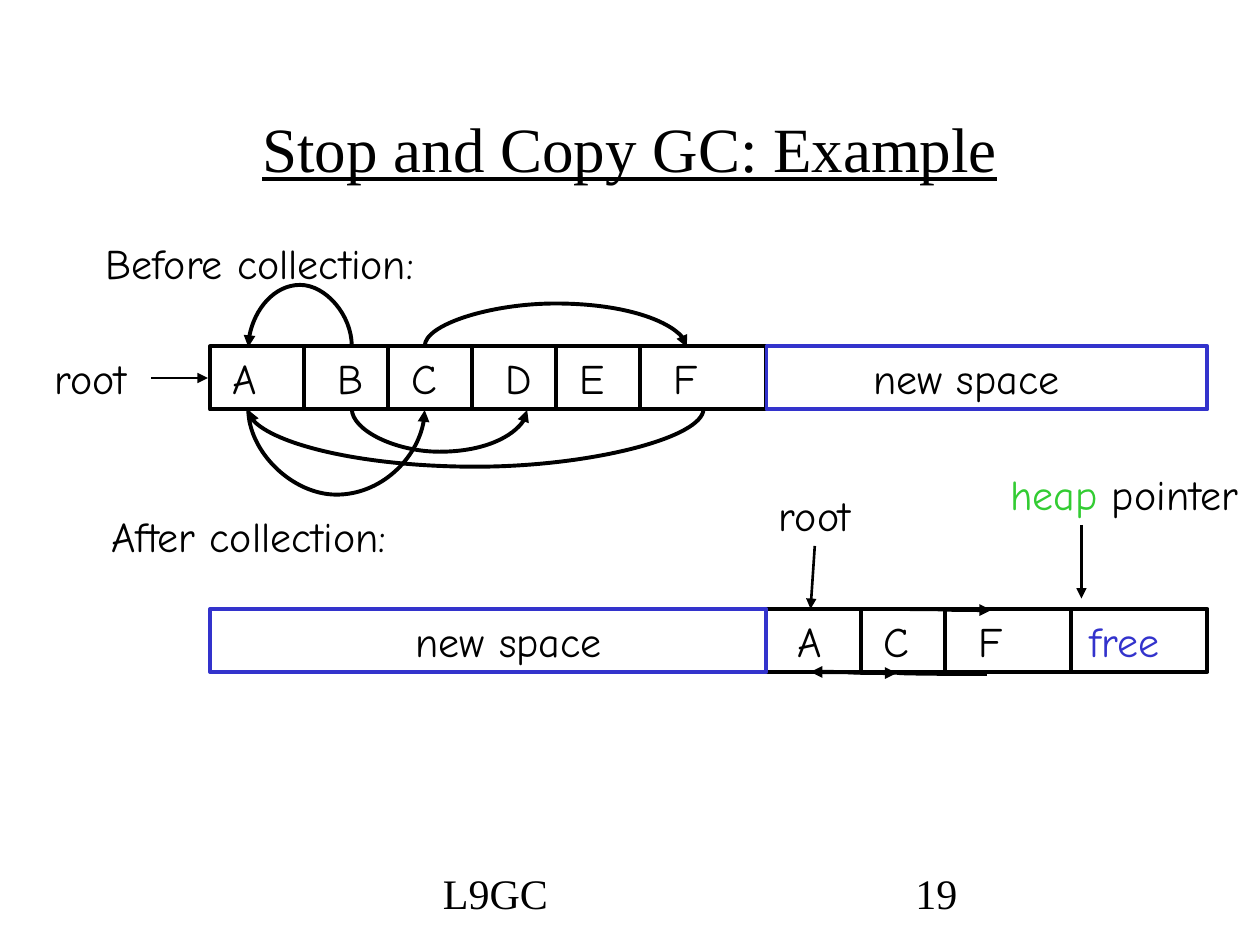
from itertools import accumulate

from pptx import Presentation, util as u
from pptx.dml.color import RGBColor
from pptx.enum import shapes, text
from pptx.oxml import parse_xml
from pptx.oxml.ns import nsdecls, qn

BLACK = RGBColor(0x00, 0x00, 0x00)
BLUE = RGBColor(0x33, 0x33, 0xCC)
GREEN = RGBColor(0x33, 0xCC, 0x33)
HAND, SERIF = "Comic Neue", "Times New Roman"
COLUMNS, ROWS = 120, 90  # the slide's grid
HEAVY, FINE = 2.25, 1.5
CELL_HEIGHT = 6


class Slide:
    def __init__(self, deck):
        self.page = deck.slides.add_slide(deck.slide_layouts[6])
        self.column = deck.slide_width / COLUMNS
        self.row = deck.slide_height / ROWS

    def place(self, x, y):
        return round(x * self.column), round(y * self.row)

    def cell(self, x, y, width, color=BLACK):
        box = self.page.shapes.add_shape(
            shapes.MSO_SHAPE.RECTANGLE,
            *self.place(x, y), *self.place(width, CELL_HEIGHT))
        box.shadow.inherit = False
        box.fill.background()
        box.line.color.rgb = color
        box.line.width = u.Pt(HEAVY)

    def label(self, x, y, width, *spans, font=HAND, size=24, height=6,
              centred=False, underline=None):
        """Each span is a string, or a pair of string and colour."""
        box = self.page.shapes.add_textbox(
            *self.place(x, y), *self.place(width, height))
        frame = box.text_frame
        frame.word_wrap = True
        para = frame.paragraphs[0]
        para.font.name, para.font.size = font, u.Pt(size)
        para.font.underline = underline
        if centred:
            para.alignment = text.PP_ALIGN.CENTER
            frame.vertical_anchor = text.MSO_ANCHOR.MIDDLE
        for span in spans:
            words, color = (span, BLACK) if isinstance(span, str) else span
            run = para.add_run()
            run.text = words
            run.font.color.rgb = color

    def arrow(self, start, end, weight=FINE, kind=shapes.MSO_CONNECTOR.STRAIGHT):
        link = self.page.shapes.add_connector(
            kind, *self.place(*start), *self.place(*end))
        link.line.color.rgb = BLACK
        link.line.width = u.Pt(weight)
        link.line._get_or_add_ln().append(
            parse_xml(f'<a:tailEnd {nsdecls("a")} type="triangle"/>'))
        link._element.spPr.append(parse_xml(f'<a:effectLst {nsdecls("a")}/>'))
        return link

    def curve(self, start, end):
        return self.arrow(start, end, HEAVY, shapes.MSO_CONNECTOR.CURVE)

    def arc(self, x1, x2, y, depth):
        """U-shaped pointer from x1 to x2; a positive depth hangs down."""
        link = self.curve((x1, y), (x2, y))
        # An upright thin box, turned on its side
        thin, span = 0.12, abs(x2 - x1)
        link.left, link.top = self.place((x1 + x2 - thin) / 2, y - span / 2)
        link.width, link.height = self.place(thin, span)
        rightward = x2 > x1
        frame = link._element.spPr.find(qn("a:xfrm"))
        frame.set("rot", str((270 if rightward else 90) * 60000))
        frame.set("flipH", "1" if rightward else "0")
        guides = link._element.spPr.find(qn("a:prstGeom")).get_or_add_avLst()
        guides.append(parse_xml(
            f'<a:gd {nsdecls("a")} name="adj1" '
            f'fmla="val {round(depth / thin * 100000)}"/>'))


deck = Presentation()
deck.slide_width, deck.slide_height = u.Inches(10), u.Inches(7.5)
slide = Slide(deck)

# Title and footer
slide.label(9, 8, 102, "Stop and Copy GC: Example", font=SERIF, size=36,
            height=12, centred=True, underline=True)
slide.label(41, 82, 38, "L9GC", font=SERIF)
slide.label(86, 82, 25, "19", font=SERIF)

# Heap before collection
HEAP, MIDDLE, HALF = 20, 73, 42
BEFORE, AFTER = 33, 58
widths = [9, 8, 8, 8, 8, 12]
label_columns = [21, 31, 38, 47, 54, 63]
for x, width, name, name_x in zip(
        accumulate([HEAP] + widths), widths, "ABCDEF", label_columns):
    slide.cell(x, BEFORE, width)
    slide.label(name_x, BEFORE, 6, name)
slide.cell(MIDDLE, BEFORE, HALF, BLUE)
slide.label(82, BEFORE, 21, "new space")
slide.label(8.9, 22, 33, "Before collection:")
slide.label(4, BEFORE, 10.4, "root")
slide.arrow((14.4, 36), (19.8, 36))

# Pointers before collection
A, B, C, D = 23.65, 33.5, 40.45, 50.2
BOTTOM = BEFORE + CELL_HEIGHT
slide.arc(B, A, BEFORE, -5.9)
slide.arc(C, 65.4, BEFORE, -4.1)
slide.arc(A, C, BOTTOM, 8.3)
slide.arc(B, D, BOTTOM, 4.15)
slide.arc(67, A, BOTTOM, 5.6)

# Heap after collection
kept = [9, 8, 12]
for x, width, name, name_x in zip(
        accumulate([MIDDLE] + kept), kept, "ACF", [74.8, 83, 92]):
    slide.cell(x, AFTER, width)
    slide.label(name_x, AFTER, 6, name)
slide.cell(MIDDLE, AFTER, HALF)
slide.cell(HEAP, AFTER, MIDDLE - HEAP, BLUE)
slide.label(38.4, AFTER, 21, "new space")
slide.label(102.6, AFTER, 13.4, ("free", BLUE))
slide.label(9.4, 48, 30, "After collection:")

# Pointers after collection
slide.curve((77.2, 64), (85.4, 64.1))
slide.curve((85.4, 58), (94.4, 58.1))
slide.curve((94, 64.2), (77.2, 64))
slide.label(73, 46, 10.4, "root")
slide.arrow((77.6, 52), (77.2, 58))
slide.label(95.05, 44, 24.9, ("heap", GREEN), " pointer")
slide.arrow((103, 50), (103, 57))

deck.save("out.pptx")
